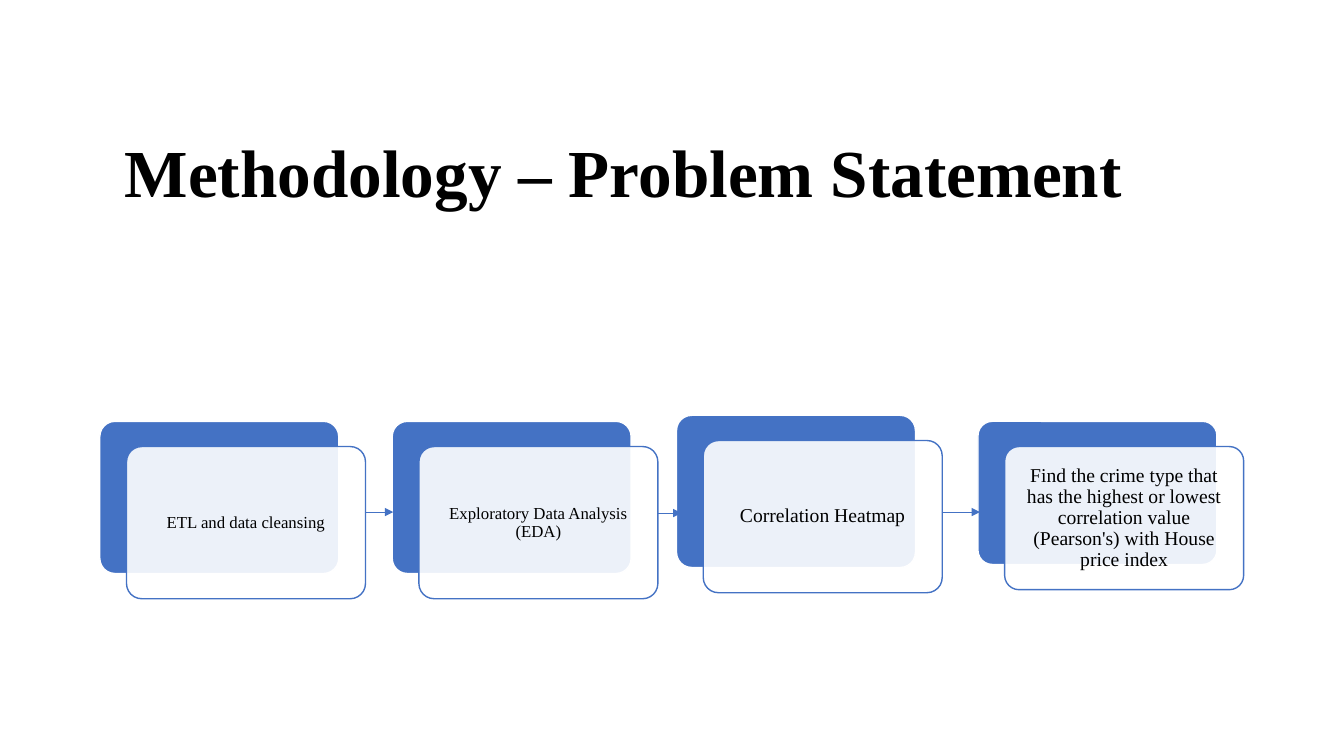
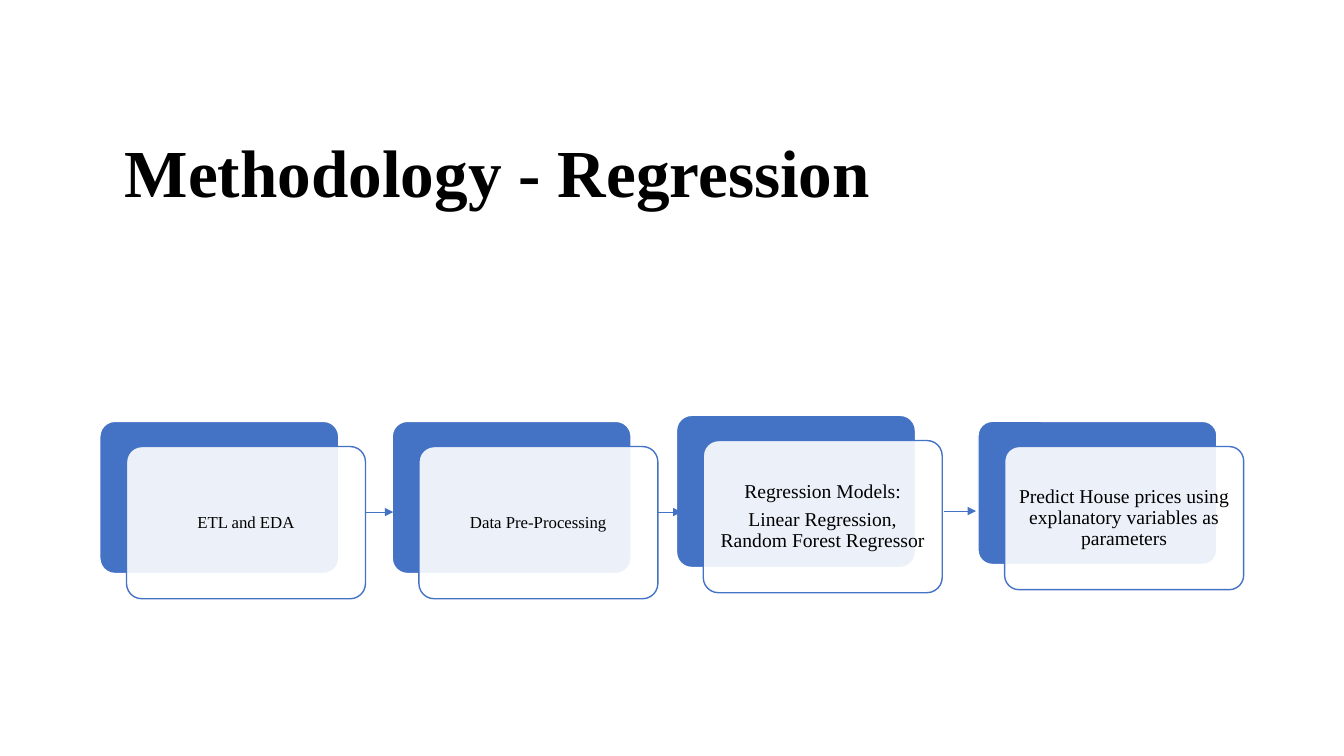
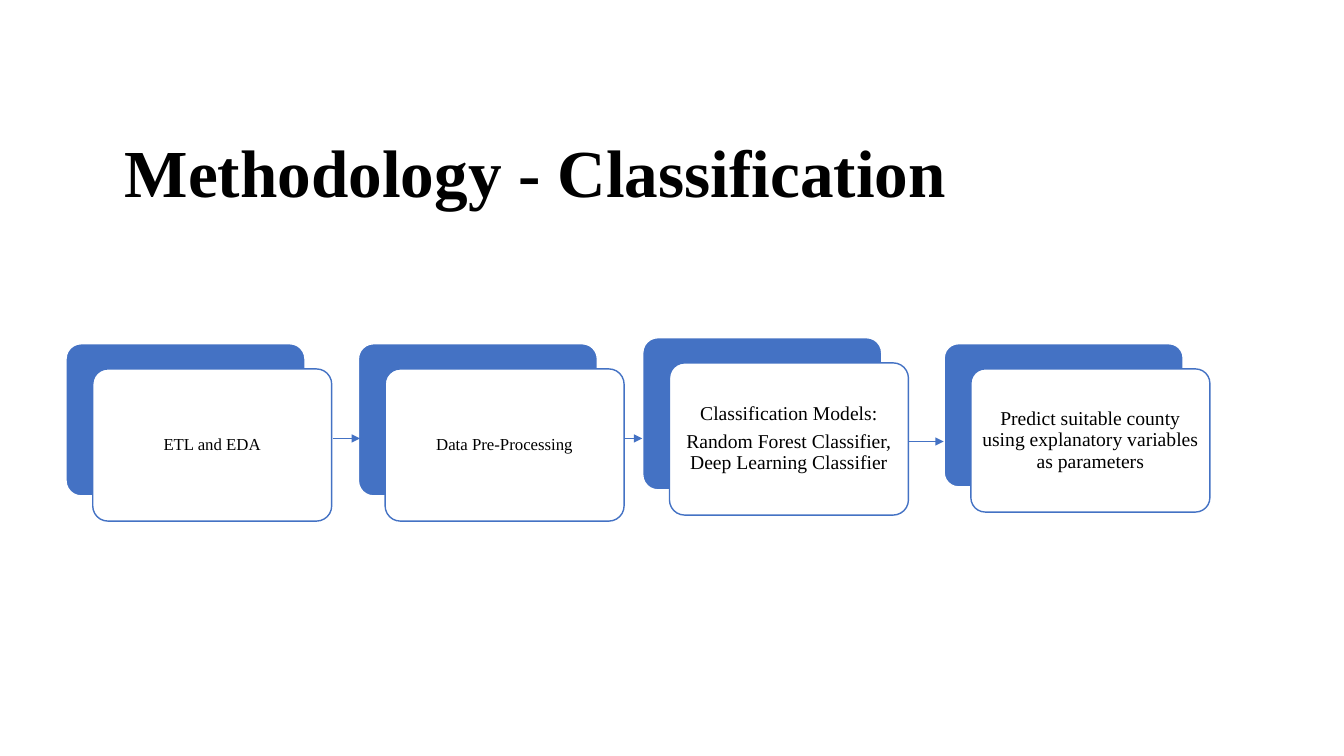
"""Build three methodology slides, each with a four-step process flow."""
from lxml.etree import SubElement
from pptx import Presentation
from pptx.dml.color import RGBColor
from pptx.enum.shapes import MSO_CONNECTOR as CONN, MSO_SHAPE as SHAPE
from pptx.enum.text import MSO_ANCHOR as ANCHOR, PP_ALIGN as ALIGN
from pptx.oxml.ns import qn
from pptx.util import Inches, Pt

FONT, BLACK, BLUE, WHITE = "Times New Roman", "000000", "4472C4", "FFFFFF"
CARD_W, OFFSET_X, OFFSET_Y = 2.37, 0.265, 0.25
CARDS = [(0.99, 4.18, 1.51, 12), (3.89, 4.18, 1.51, 12),
         (6.71, 4.12, 1.51, 14), (9.7, 4.18, 1.42, 14)]

SLIDES = [
    dict(title="Methodology – Problem Statement", dx=0, dy=0, alpha=90,
         steps=["ETL and data cleansing",
                "Exploratory Data Analysis (EDA)",
                "Correlation Heatmap",
                "Find the crime type that has the highest or lowest correlation "
                "value (Pearson's) with House price index"],
         arrows=[(3.62, 3.9, 5.08), (6.53, 6.76, 5.09), (9.34, 9.72, 5.08)]),
    dict(title="Methodology - Regression", dx=0, dy=0, alpha=90,
         steps=["ETL and EDA",
                "Data Pre-Processing",
                "Regression Models:\nLinear Regression, Random Forest Regressor",
                "Predict House prices using explanatory variables as parameters"],
         arrows=[(3.62, 3.9, 5.08), (6.53, 6.76, 5.08), (9.36, 9.68, 5.07)]),
    dict(title="Methodology - Classification", dx=-0.335, dy=-0.77, alpha=100,
         steps=["ETL and EDA",
                "Data Pre-Processing",
                "Classification Models:\nRandom Forest Classifier, Deep Learning Classifier",
                "Predict suitable county using explanatory variables as parameters"],
         arrows=[(3.3, 3.57, 4.35), (6.2, 6.37, 4.35), (9.01, 9.36, 4.38)]),
]


def rgb(value):
    return RGBColor.from_string(value)


def write(sp, text, size, bold=False, align=ALIGN.LEFT, after=0, inset=None):
    tf = sp.text_frame
    tf.word_wrap = True
    tf.vertical_anchor = ANCHOR.MIDDLE
    if inset is not None:
        tf.margin_left = tf.margin_right = tf.margin_top = tf.margin_bottom = Inches(inset)
    for i, line in enumerate(text.split("\n")):
        p = tf.add_paragraph() if i else tf.paragraphs[0]
        p.alignment, p.line_spacing, p.space_after = align, 0.9, Pt(after)
        r = p.add_run()
        r.text = line
        r.font.name, r.font.size, r.font.bold = FONT, Pt(size), bold
        r.font.color.rgb = rgb(BLACK)


prs = Presentation()
prs.slide_width, prs.slide_height = Inches(13.33), Inches(7.5)

for data in SLIDES:
    s = prs.slides.add_slide(prs.slide_layouts[6])
    title = s.shapes.add_textbox(Inches(1.14), Inches(0.89), Inches(11.13), Inches(1.7))
    write(title, data["title"], 48, bold=True)

    for (x, y, h, size), step in zip(CARDS, data["steps"]):
        x, y = x + data["dx"], y + data["dy"]
        for left, top, fill, line in [(x, y, BLUE, WHITE),
                                      (x + OFFSET_X, y + OFFSET_Y, WHITE, BLUE)]:
            sp = s.shapes.add_shape(SHAPE.ROUNDED_RECTANGLE, Inches(left), Inches(top),
                                    Inches(CARD_W), Inches(h))
            sp.adjustments[0] = 0.1
            sp.shadow.inherit = False
            sp.fill.solid()
            sp.fill.fore_color.rgb = rgb(fill)
            sp.line.color.rgb = rgb(line)
            sp.line.width = Pt(1)
        if data["alpha"] < 100:
            color = sp.element.spPr.find(qn("a:solidFill")).find(qn("a:srgbClr"))
            SubElement(color, qn("a:alpha"), val=str(data["alpha"] * 1000))
        write(sp, step, size, align=ALIGN.CENTER, after=size * 0.35,
              inset=0.05 if size == 12 else 0.06)

    for x1, x2, y in data["arrows"]:
        c = s.shapes.add_connector(CONN.STRAIGHT, Inches(x1), Inches(y), Inches(x2), Inches(y))
        c.line.color.rgb = rgb(BLUE)
        c.line.width = Pt(0.5)
        spPr = c.element.spPr
        SubElement(spPr.find(qn("a:ln")), qn("a:tailEnd"), type="triangle")
        SubElement(spPr, qn("a:effectLst"))

prs.save("out.pptx")
